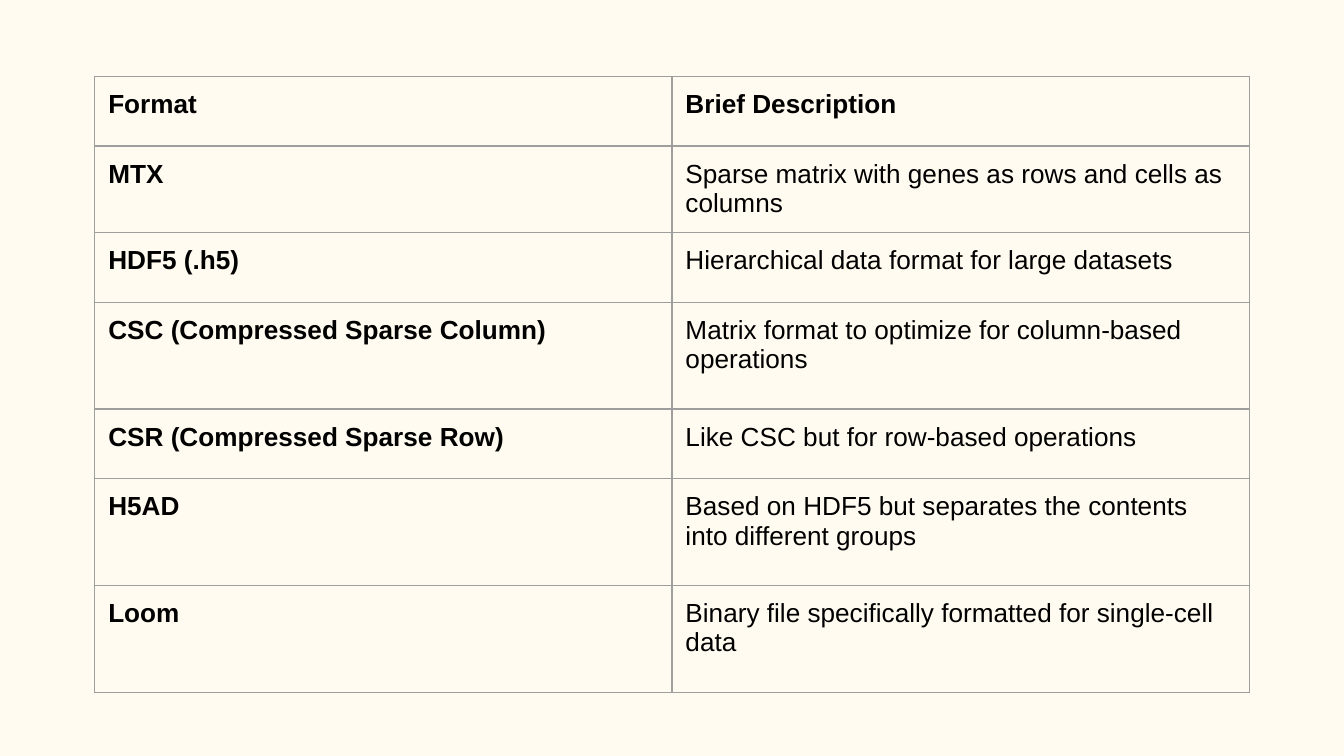
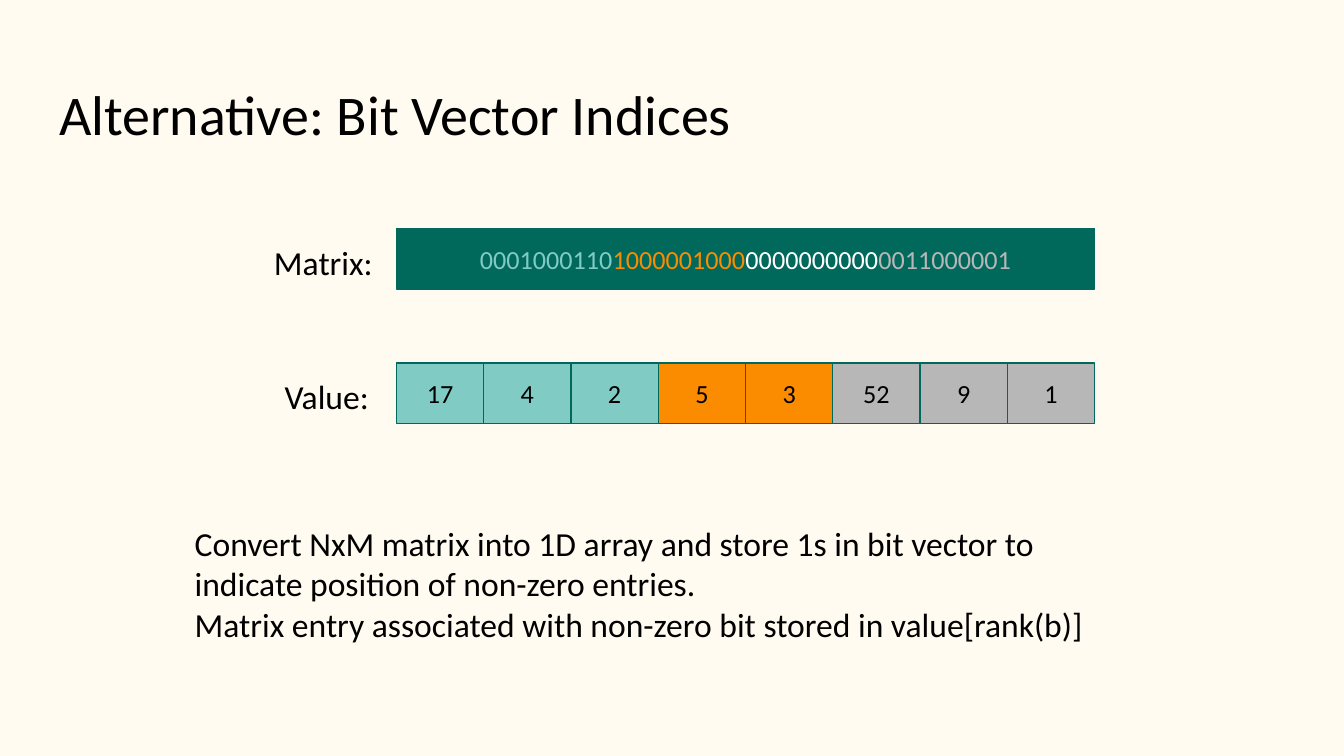
import lxml.etree
import pptx
import pptx.dml.color
import pptx.enum.shapes
import pptx.enum.text
import pptx.oxml.ns
import pptx.util

Pt = pptx.util.Pt
ALIGN = pptx.enum.text.PP_ALIGN
ANCHOR = pptx.enum.text.MSO_ANCHOR

COLORS = {
    "background": "FFFBF0",
    "text": "000000",
    "border": "9E9E9E",
    "dark_teal": "00695C",
    "teal": "80CBC4",
    "orange": "FB8C00",
    "white": "FFFFFF",
    "gray": "B7B7B7",
}
TABLE_FONT = "Arial"
SLIDE_FONT = "Calibri"
INSET = 7.2
LINE_WIDTH = 0.75

FORMATS = [
    ("Format", "Brief Description"),
    ("MTX", "Sparse matrix with genes as rows and cells as columns"),
    ("HDF5 (.h5)", "Hierarchical data format for large datasets"),
    ("CSC (Compressed Sparse Column)", "Matrix format to optimize for column-based operations"),
    ("CSR (Compressed Sparse Row)", "Like CSC but for row-based operations"),
    ("H5AD", "Based on HDF5 but separates the contents into different groups"),
    ("Loom", "Binary file specifically formatted for single-cell data"),
]
ROW_HEIGHTS = [37.2, 46.5, 37.2, 57.3, 37.2, 57.3, 57.3]

BIT_GROUPS = [
    ("0001000110", "teal"),
    ("1000001000", "orange"),
    ("0000000000", "white"),
    ("0011000001", "gray"),
]
VALUES = [
    ("17", "teal"), ("4", "teal"), ("2", "teal"),
    ("5", "orange"), ("3", "orange"),
    ("52", "gray"), ("9", "gray"), ("1", "gray"),
]
EXPLANATION = [
    "Convert NxM matrix into 1D array and store 1s in bit vector to "
    "indicate position of non-zero entries.",
    "Matrix entry associated with non-zero bit stored in value[rank(b)]",
]


def rgb(name):
    return pptx.dml.color.RGBColor.from_string(COLORS[name])


def format_run(run, size, color="text", font=SLIDE_FONT, bold=False):
    run.font.name = font
    run.font.size = Pt(size)
    run.font.bold = bold
    run.font.color.rgb = rgb(color)


def set_insets(target):
    """Give a text frame or table cell the shared inner margins."""
    for side in ("left", "top", "right", "bottom"):
        setattr(target, f"margin_{side}", Pt(INSET))


def prepare_frame(text_frame, anchor=ANCHOR.TOP):
    text_frame.word_wrap = True
    text_frame.auto_size = pptx.enum.text.MSO_AUTO_SIZE.NONE
    text_frame.vertical_anchor = anchor
    set_insets(text_frame)


def add_text(slide, box, lines, size=18):
    text_frame = slide.shapes.add_textbox(*map(Pt, box)).text_frame
    prepare_frame(text_frame)
    text_frame.text = "\n".join(lines)
    for paragraph in text_frame.paragraphs:
        format_run(paragraph.runs[0], size)


def add_block(slide, box, fill, runs):
    """Add an outlined rectangle with centred (text, colour) runs."""
    shape = slide.shapes.add_shape(
        pptx.enum.shapes.MSO_SHAPE.RECTANGLE, *map(Pt, box))
    shape.shadow.inherit = False
    shape.fill.solid()
    shape.fill.fore_color.rgb = rgb(fill)
    shape.line.color.rgb = rgb("dark_teal")
    shape.line.width = Pt(LINE_WIDTH)
    prepare_frame(shape.text_frame, ANCHOR.MIDDLE)
    paragraph = shape.text_frame.paragraphs[0]
    paragraph.alignment = ALIGN.CENTER
    for text, color in runs:
        run = paragraph.add_run()
        run.text = text
        format_run(run, 14, color)


def set_title(slide, box, text):
    title = slide.shapes.title
    title.left, title.top, title.width, title.height = map(Pt, box)
    prepare_frame(title.text_frame)
    title.text_frame.text = text
    paragraph = title.text_frame.paragraphs[0]
    paragraph.alignment = ALIGN.LEFT
    format_run(paragraph.runs[0], 30)


def set_cell_borders(cell):
    qualify = pptx.oxml.ns.qn
    properties = cell._tc.get_or_add_tcPr()
    for edge in ("a:lnL", "a:lnR", "a:lnT", "a:lnB"):
        line = lxml.etree.SubElement(
            properties, qualify(edge), w=str(Pt(LINE_WIDTH)))
        fill = lxml.etree.SubElement(line, qualify("a:solidFill"))
        lxml.etree.SubElement(fill, qualify("a:srgbClr"), val=COLORS["border"])


def add_format_table(slide, left, top, width):
    table = slide.shapes.add_table(
        len(FORMATS), 2, Pt(left), Pt(top), Pt(width), Pt(sum(ROW_HEIGHTS))).table
    table.horz_banding = False
    table.first_row = False
    for row_index, (row, height) in enumerate(zip(FORMATS, ROW_HEIGHTS)):
        table.rows[row_index].height = Pt(height)
        for column_index, text in enumerate(row):
            cell = table.cell(row_index, column_index)
            set_insets(cell)
            set_cell_borders(cell)
            cell.fill.background()
            cell.text = text
            is_heading = row_index == 0 or column_index == 0
            format_run(cell.text_frame.paragraphs[0].runs[0], 14,
                       font=TABLE_FONT, bold=is_heading)


def add_matrix_row(slide, left, top, width, height):
    add_block(slide, (left, top, width, height), "dark_teal", BIT_GROUPS)
    label_width = 72.7
    add_text(slide, (left - label_width, top, label_width, height), ["Matrix:"])


def add_value_row(slide, left, top, width, height):
    cell_width = width / len(VALUES)
    for index, (value, color) in enumerate(VALUES):
        box = (left + index * cell_width, top, cell_width, height)
        add_block(slide, box, color, [(value, "text")])
    label_width = 67
    add_text(slide, (left - label_width, top, label_width, height), ["Value:"])


def build_formats_slide(presentation):
    slide = presentation.slides.add_slide(presentation.slide_layouts[6])
    add_format_table(slide, 50.8, 41, 618.5)


def build_bit_vector_slide(presentation):
    slide = presentation.slides.add_slide(presentation.slide_layouts[5])
    set_title(slide, (24.5, 35.3, 671, 48.2), "Alternative: Bit Vector Indices")
    left, width, height = 212.4, 374, 32.4
    add_matrix_row(slide, left, 122.4, width, height)
    add_value_row(slide, left, 194.4, width, height)
    add_text(slide, (97.2, 272.9, 525, 84.2), EXPLANATION)


def main():
    presentation = pptx.Presentation()
    presentation.slide_width = Pt(720)
    presentation.slide_height = Pt(405)
    background = presentation.slide_master.background.fill
    background.solid()
    background.fore_color.rgb = rgb("background")
    build_formats_slide(presentation)
    build_bit_vector_slide(presentation)
    presentation.save("out.pptx")


if __name__ == "__main__":
    main()
